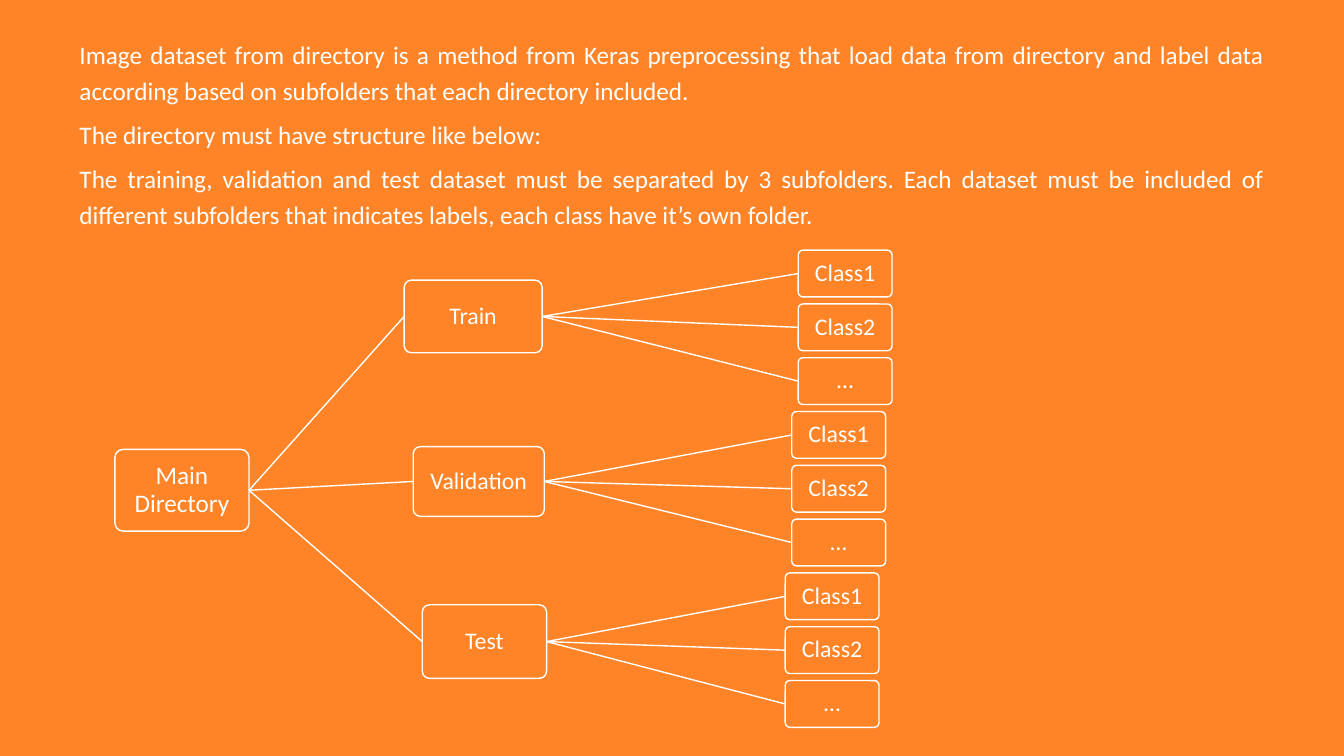
from lxml import etree
from pptx import Presentation
from pptx.dml.color import RGBColor
from pptx.enum import shapes, text
from pptx.oxml import ns
from pptx.util import Pt

ORANGE = RGBColor(0xFF, 0x84, 0x27)
WHITE = RGBColor(0xFF, 0xFF, 0xFF)
FONT = "Calibri"
LEFT_SITE, RIGHT_SITE = 1, 3

INTRO = [
    "Image dataset from directory is a method from Keras preprocessing that load data "
    "from directory and label data according based on subfolders that each directory included.",
    "The directory must have structure like below:",
    "The training, validation and test dataset must be separated by 3 subfolders. Each dataset "
    "must be included of different subfolders that indicates labels, each class have it’s own folder.",
]
MAIN_BOX = (82.1, 321, 95.8, 58.4)
DATASETS = [
    ("Train", (288.7, 200.1, 98.6, 51.9), 570.2),
    ("Validation", (295.2, 319, 93.6, 49.8), 565.6),
    ("Test", (301.6, 432, 88.8, 52.6), 560.9),
]
CLASSES = ["Class1", "Class2", "…"]
CLASS_TOP, CLASS_PITCH = 178.7, 38.43
CLASS_WIDTH, CLASS_HEIGHT = 67, 33.4


def style_paragraph(p, size, align, spacing):
    """Set the font, alignment and line spacing of a paragraph."""
    p.font.name = FONT
    p.font.size = Pt(size)
    p.font.color.rgb = WHITE
    p.alignment = align
    p.line_spacing = spacing


def add_intro(slide):
    """Add the justified explanation above the tree."""
    sp = slide.shapes.add_textbox(Pt(49.7), Pt(20.2), Pt(860.4), Pt(179.3))
    tf = sp.text_frame
    tf.word_wrap = True
    tf.text = "\n".join(INTRO)
    for p in tf.paragraphs:
        style_paragraph(p, 18, text.PP_ALIGN.JUSTIFY, 1.19)
        p.space_after = Pt(6)


def add_folder(slide, label, box, size=17):
    """Add a rounded folder box with a centred label."""
    sp = slide.shapes.add_shape(
        shapes.MSO_SHAPE.ROUNDED_RECTANGLE, *[Pt(v) for v in box])
    sp.adjustments[0] = 0.1
    sp.shadow.inherit = False
    sp.fill.solid()
    sp.fill.fore_color.rgb = ORANGE
    sp.line.color.rgb = WHITE
    sp.line.width = Pt(1)
    tf = sp.text_frame
    tf.word_wrap = True
    tf.vertical_anchor = text.MSO_ANCHOR.MIDDLE
    tf.margin_left = tf.margin_right = tf.margin_top = tf.margin_bottom = Pt(1)
    tf.text = label
    style_paragraph(tf.paragraphs[0], size, text.PP_ALIGN.CENTER, 0.9)
    return sp


def add_branch(slide, parent, child):
    """Join the right side of a parent to the left side of a child."""
    line = slide.shapes.add_connector(shapes.MSO_CONNECTOR.STRAIGHT, 0, 0, 0, 0)
    line.begin_connect(parent, RIGHT_SITE)
    line.end_connect(child, LEFT_SITE)
    line.line.color.rgb = WHITE
    line.line.width = Pt(1)
    etree.SubElement(line.element.spPr, ns.qn("a:effectLst"))


def add_tree(slide):
    """Add the directory tree from the main folder to the classes."""
    root = add_folder(slide, "Main Directory", MAIN_BOX, 18)
    for i, (name, box, class_left) in enumerate(DATASETS):
        dataset = add_folder(slide, name, box)
        add_branch(slide, root, dataset)
        for j, label in enumerate(CLASSES):
            top = CLASS_TOP + (i * len(CLASSES) + j) * CLASS_PITCH
            leaf = add_folder(slide, label, (class_left, top, CLASS_WIDTH, CLASS_HEIGHT))
            add_branch(slide, dataset, leaf)


def main():
    """Build and save the slide."""
    prs = Presentation()
    prs.slide_width, prs.slide_height = Pt(960), Pt(540)
    slide = prs.slides.add_slide(prs.slide_layouts[6])
    slide.background.fill.solid()
    slide.background.fill.fore_color.rgb = ORANGE
    add_intro(slide)
    add_tree(slide)
    prs.save("out.pptx")


if __name__ == "__main__":
    main()
